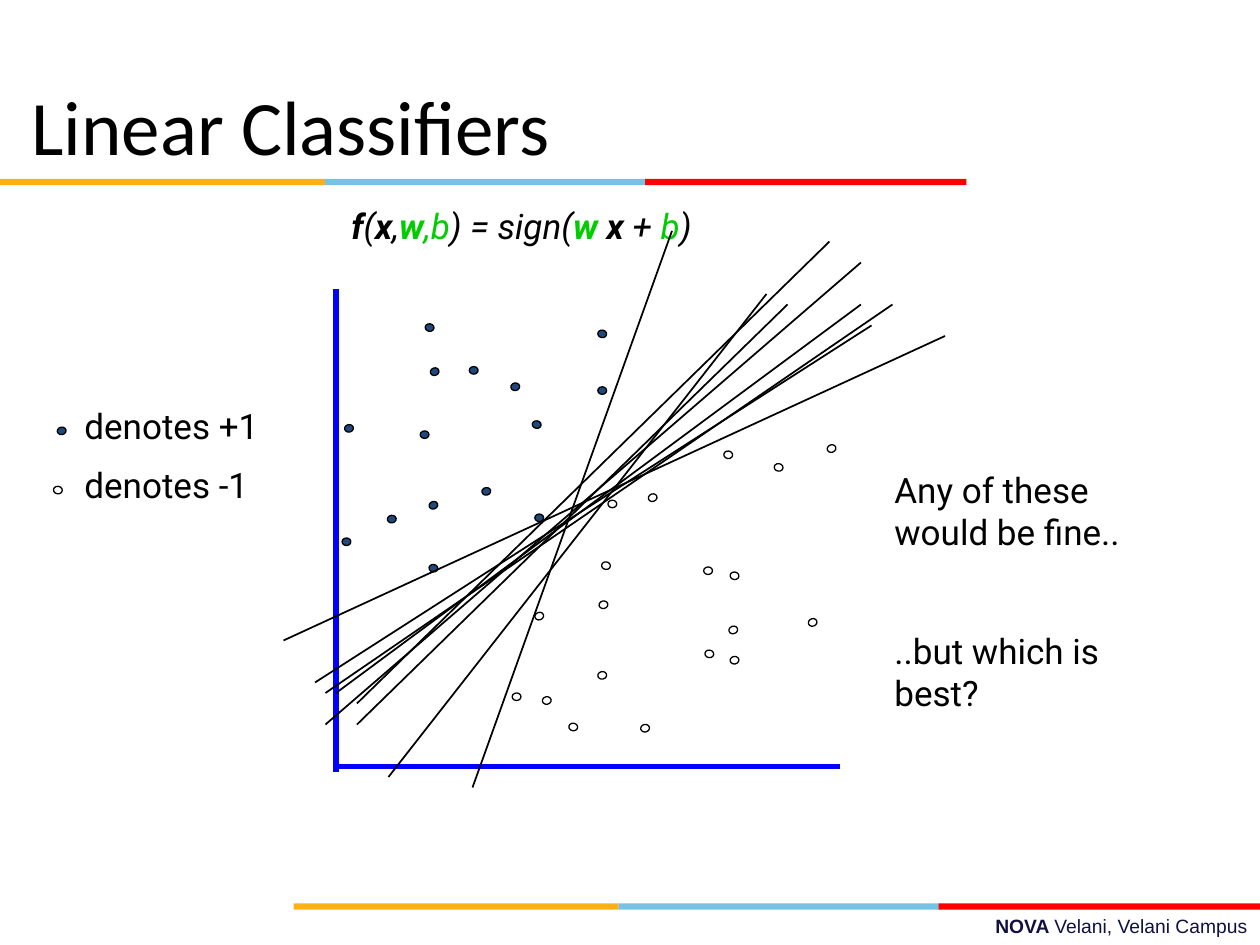
from lxml.etree import SubElement
from pptx import Presentation
from pptx.dml.color import RGBColor
from pptx.enum.shapes import MSO_CONNECTOR, MSO_SHAPE
from pptx.enum.text import MSO_ANCHOR, PP_ALIGN
from pptx.oxml.ns import qn
from pptx.util import Inches, Pt

BLACK = RGBColor(0x00, 0x00, 0x00)
WHITE = RGBColor(0xFF, 0xFF, 0xFF)
NAVY = RGBColor(0x1F, 0x49, 0x7D)
BLUE = RGBColor(0x00, 0x00, 0xFF)
GREEN = RGBColor(0x00, 0xCC, 0x00)
INK = RGBColor(0x10, 0x11, 0x41)
ORANGE = RGBColor(0xFC, 0xB0, 0x17)
SKY = RGBColor(0x76, 0xC2, 0xE5)
RED = RGBColor(0xFF, 0x00, 0x00)

BODY = {"name": "Roboto", "size": Pt(20)}
FOOTER = {"name": "Arial", "size": Pt(11)}
TITLE = {"name": "Calibri", "size": Pt(44)}

STRIPES = [(0, 2.58, ORANGE), (2.58, 2.55, SKY), (5.12, 2.55, RED)]
STRIPE_STARTS = [(2.33, 7.17), (0, 1.42)]

FORMULA = [
    ("f", BLACK, True), ("(", BLACK, False), ("x", BLACK, True), (",", BLACK, False),
    ("w", GREEN, True), (",b", GREEN, False), (") = sign(", BLACK, False),
    ("w", GREEN, True), (" x ", BLACK, True), ("+ ", BLACK, False),
    ("b", GREEN, False), (")", BLACK, False),
]
LEGEND = ["denotes +1", "denotes -1"]
REMARKS = ["Any of these would be fine..", "..but which is best?"]
CAMPUS = [("NOVA ", INK, True), ("Velani, Velani Campus", INK, False)]

UNITS_PER_INCH = 12
AXES = [(32, 27.5, 32, 73.5), (32, 73, 80, 73)]
SEPARATORS = [
    (45, 75, 64, 22), (30, 65, 83, 31), (34, 69, 75, 29),
    (27, 61, 90, 32), (32, 66, 82, 29), (31, 69, 82, 25),
    (34, 67, 79, 23), (37, 74, 73, 28), (31, 66, 85, 29),
]

DOT_WIDTH, DOT_HEIGHT = 0.07, 0.06
DOTS = [
    (NAVY, 0, [(2.75, 4.3), (4.78, 3.1), (3.76, 2.94), (4.28, 4.11), (3.37, 3.45)]),
    (NAVY, -18.6, [(3.45, 2.95), (3.44, 4.01)]),
    (NAVY, 8.3, [(4.26, 3.37), (3.44, 4.51), (4.78, 2.65), (3.41, 2.6)]),
    (NAVY, -10.4, [(0.49, 3.42), (3.86, 3.9), (3.11, 4.12), (4.09, 3.07), (2.77, 3.4)]),
    (WHITE, 0, [(4.1, 5.53), (4.86, 4), (5.62, 4.53)]),
    (WHITE, -18.6, [(4.28, 4.89), (6.6, 3.56), (5.82, 5), (5.18, 3.95), (6.45, 4.94)]),
    (WHITE, 8.3, [(0.46, 3.89), (4.55, 5.77), (5.83, 4.57), (4.81, 4.49),
                  (6.18, 3.71), (5.78, 3.61), (5.63, 5.19)]),
    (WHITE, -10.4, [(5.12, 5.78), (4.78, 5.36), (4.79, 4.8), (4.34, 5.56), (5.83, 5.24)]),
]


def set_all(target, values):
    for name, value in values.items():
        setattr(target, name, value)


def place(left, top, width, height):
    return [Inches(length) for length in (left, top, width, height)]


def add_shape(page, kind, area, fill):
    shape = page.shapes.add_shape(kind, *place(*area))
    shape.shadow.inherit = False
    shape.fill.solid()
    shape.fill.fore_color.rgb = fill
    return shape


def add_stripes(page, start, top):
    for offset, width, colour in STRIPES:
        area = (start + offset, top, width, 0.05)
        add_shape(page, MSO_SHAPE.RECTANGLE, area, colour).line.fill.background()


def add_dot(page, center, fill, tilt):
    area = (center[0] - DOT_WIDTH / 2, center[1] - DOT_HEIGHT / 2, DOT_WIDTH, DOT_HEIGHT)
    dot = add_shape(page, MSO_SHAPE.OVAL, area, fill)
    dot.rotation = tilt
    dot.line.color.rgb = BLACK
    dot.line.width = Pt(0.75)


def add_line(page, ends, colour, width):
    points = [Inches(end / UNITS_PER_INCH) for end in ends]
    line = page.shapes.add_connector(MSO_CONNECTOR.STRAIGHT, *points)
    line.line.color.rgb = colour
    line.line.width = Pt(width)
    SubElement(line._element.spPr, qn("a:effectLst"))


def add_spans(para, spans, font, italic=False):
    for text, colour, bold in spans:
        span = para.add_run()
        span.text = text
        set_all(span.font, {**font, "bold": bold, "italic": italic})
        span.font.color.rgb = colour


def add_text(page, area, paragraphs, font, gap=0, italic=False, inset=0.1, align=PP_ALIGN.LEFT):
    frame = page.shapes.add_textbox(*place(*area)).text_frame
    set_all(frame, {"word_wrap": True, "margin_left": Inches(inset)})
    for index, spans in enumerate(paragraphs):
        para = frame.add_paragraph() if index else frame.paragraphs[0]
        set_all(para, {"alignment": align, "space_before": Pt(gap if index else 0)})
        add_spans(para, spans, font, italic)


def plain(lines):
    return [[(line, BLACK, False)] for line in lines]


def add_title(page):
    title = page.shapes.title
    set_all(title, dict(zip(("left", "top", "width", "height"), place(0, 0.66, 5.08, 0.75))))
    set_all(title.text_frame, {"vertical_anchor": MSO_ANCHOR.BOTTOM, "margin_left": Inches(0.25)})
    para = title.text_frame.paragraphs[0]
    para.alignment = PP_ALIGN.LEFT
    add_spans(para, [("Linear Classifiers", BLACK, False)], TITLE)


def main():
    deck = Presentation()
    set_all(deck, {"slide_width": Inches(10), "slide_height": Inches(7.5)})
    page = deck.slides.add_slide(deck.slide_layouts[5])
    add_title(page)
    for start, top in STRIPE_STARTS:
        add_stripes(page, start, top)
    add_text(page, (3.58, 7.21, 6.42, 0.29), [CAMPUS], FOOTER, align=PP_ALIGN.RIGHT)
    add_text(page, (0.43, 3.16, 2.08, 0.93), plain(LEGEND), BODY, gap=10, inset=0.24)
    add_text(page, (2.69, 1.57, 3.5, 0.43), [FORMULA], BODY, italic=True)
    add_text(page, (7, 3.67, 2.42, 2.1), plain(REMARKS), BODY, gap=44)
    for ends in AXES:
        add_line(page, ends, BLUE, 3)
    for fill, tilt, centers in DOTS:
        for center in centers:
            add_dot(page, center, fill, tilt)
    for ends in SEPARATORS:
        add_line(page, ends, BLACK, 1)
    deck.save("out.pptx")


if __name__ == "__main__":
    main()
